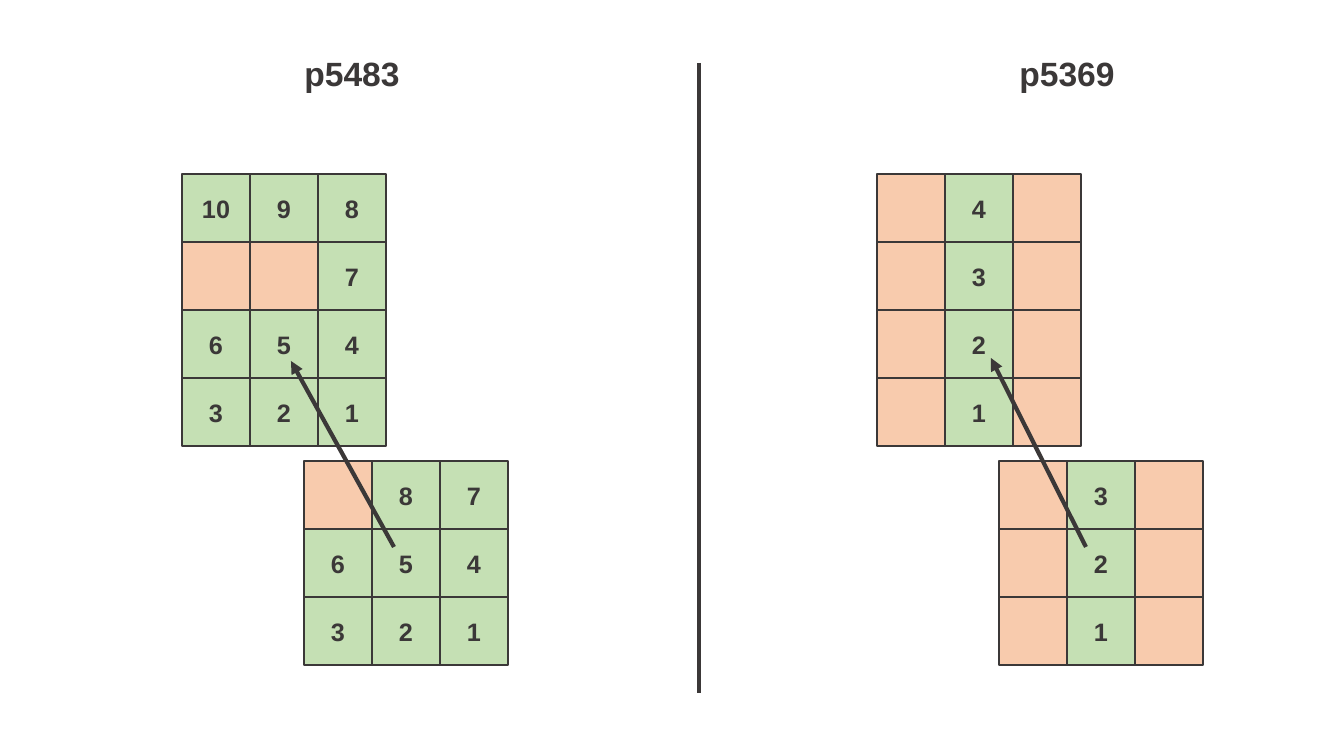
from pptx import Presentation
from pptx import util as u
from pptx.dml.color import RGBColor
from pptx.enum import shapes, text
from pptx.oxml.ns import qn
from lxml import etree

PX = 914400 / 100.8
CELL = 68
COLORS = {"ink": "3B3838", "visited": "C5E0B4", "empty": "F8CBAD"}

PANELS = [
    {
        "heading": ("p5483", 247),
        "grids": [
            (182, 174, [[10, 9, 8], [None, None, 7], [6, 5, 4], [3, 2, 1]]),
            (304, 461, [[None, 8, 7], [6, 5, 4], [3, 2, 1]]),
        ],
        "arrow": (394, 547, 291, 361),
    },
    {
        "heading": ("p5369", 962),
        "grids": [
            (877, 174, [[None, number, None] for number in (4, 3, 2, 1)]),
            (999, 461, [[None, number, None] for number in (3, 2, 1)]),
        ],
        "arrow": (1086, 547, 991, 358),
    },
]


def px(*lengths):
    return [u.Emu(round(length * PX)) for length in lengths]


def color(name):
    return RGBColor.from_string(COLORS[name])


def write(frame, words, size=18, bold=True, ink="ink", font="Arial",
          align=text.PP_ALIGN.CENTER, anchor=text.MSO_ANCHOR.MIDDLE):
    frame.word_wrap = True
    frame.vertical_anchor = anchor
    para = frame.paragraphs[0]
    para.alignment = align
    span = para.add_run()
    span.text = words
    span.font.size = u.Pt(size)
    span.font.bold = bold
    span.font.name = font
    span.font.color.rgb = color(ink)


class Board:
    """Draws numbered grids, headings and lines on one slide."""

    def __init__(self, page):
        self.page = page

    def cell(self, group, left, top, number):
        box = group.shapes.add_shape(
            shapes.MSO_SHAPE.RECTANGLE, *px(left, top, CELL, CELL))
        box.shadow.inherit = False
        box.fill.solid()
        box.fill.fore_color.rgb = color("empty" if number is None else "visited")
        box.line.color.rgb = color("ink")
        box.line.width = u.Pt(1)
        if number is not None:
            write(box.text_frame, str(number))

    def grid(self, group, left, top, rows):
        for row, numbers in enumerate(rows):
            for column, number in enumerate(numbers):
                self.cell(group, left + column * CELL, top + row * CELL, number)

    def line(self, parent, ends, width, arrow=False):
        connector = parent.shapes.add_connector(
            shapes.MSO_CONNECTOR.STRAIGHT, *px(*ends))
        connector.line.color.rgb = color("ink")
        connector.line.width = u.Pt(width)
        if arrow:
            outline = connector.line._get_or_add_ln()
            etree.SubElement(outline, qn("a:tailEnd"), type="triangle")
        etree.SubElement(connector._element.spPr, qn("a:effectLst"))

    def heading(self, words, left):
        box = self.page.shapes.add_textbox(*px(left, 48, 210, 50))
        write(box.text_frame, words, size=24, anchor=text.MSO_ANCHOR.TOP)
        box.text_frame.auto_size = text.MSO_AUTO_SIZE.SHAPE_TO_FIT_TEXT

    def panel(self, heading, grids, arrow):
        group = self.page.shapes.add_group_shape()
        for left, top, rows in grids:
            self.grid(group, left, top, rows)
        self.line(group, arrow, 3, arrow=True)
        self.heading(*heading)


def main():
    deck = Presentation()
    deck.slide_width, deck.slide_height = px(1344, 756)
    page = deck.slides.add_slide(deck.slide_layouts.get_by_name("Blank"))
    board = Board(page)
    for panel in PANELS:
        board.panel(**panel)
    board.line(page, (699, 63, 699, 693), 2.25)
    deck.save("out.pptx")


if __name__ == "__main__":
    main()
